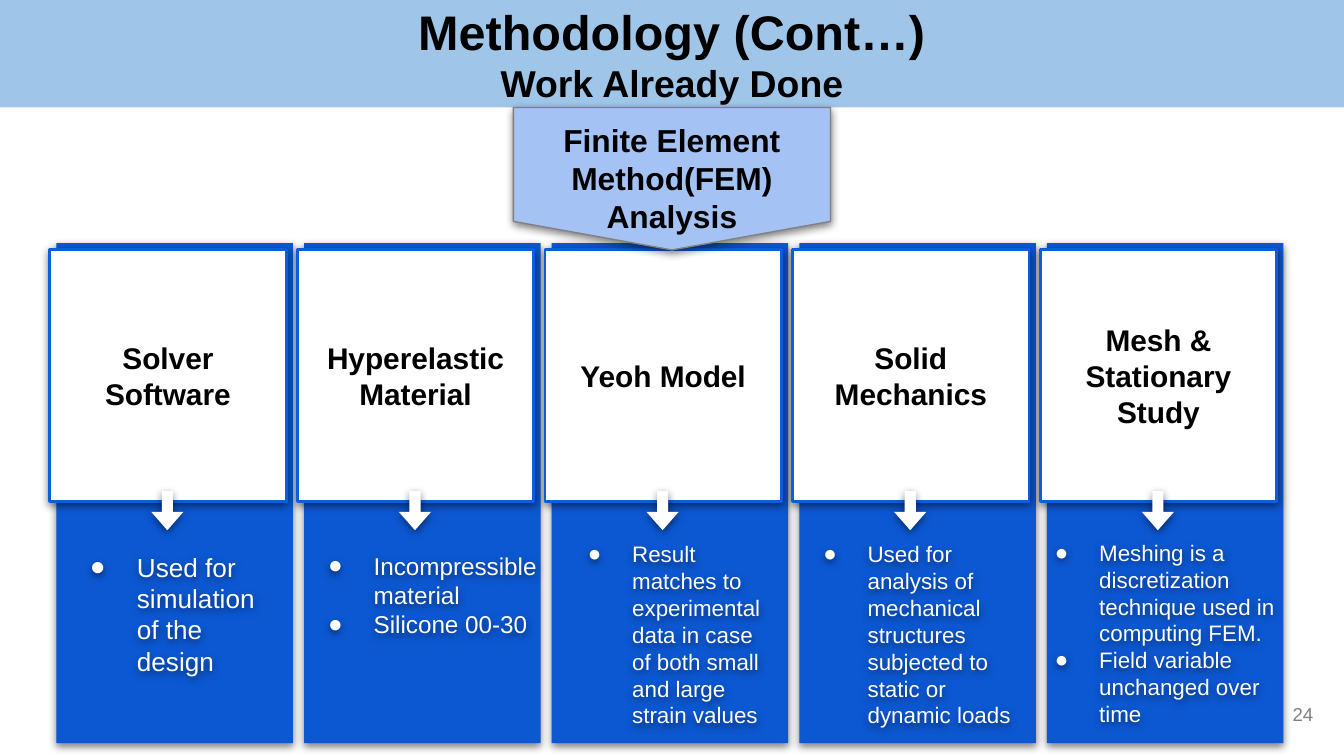
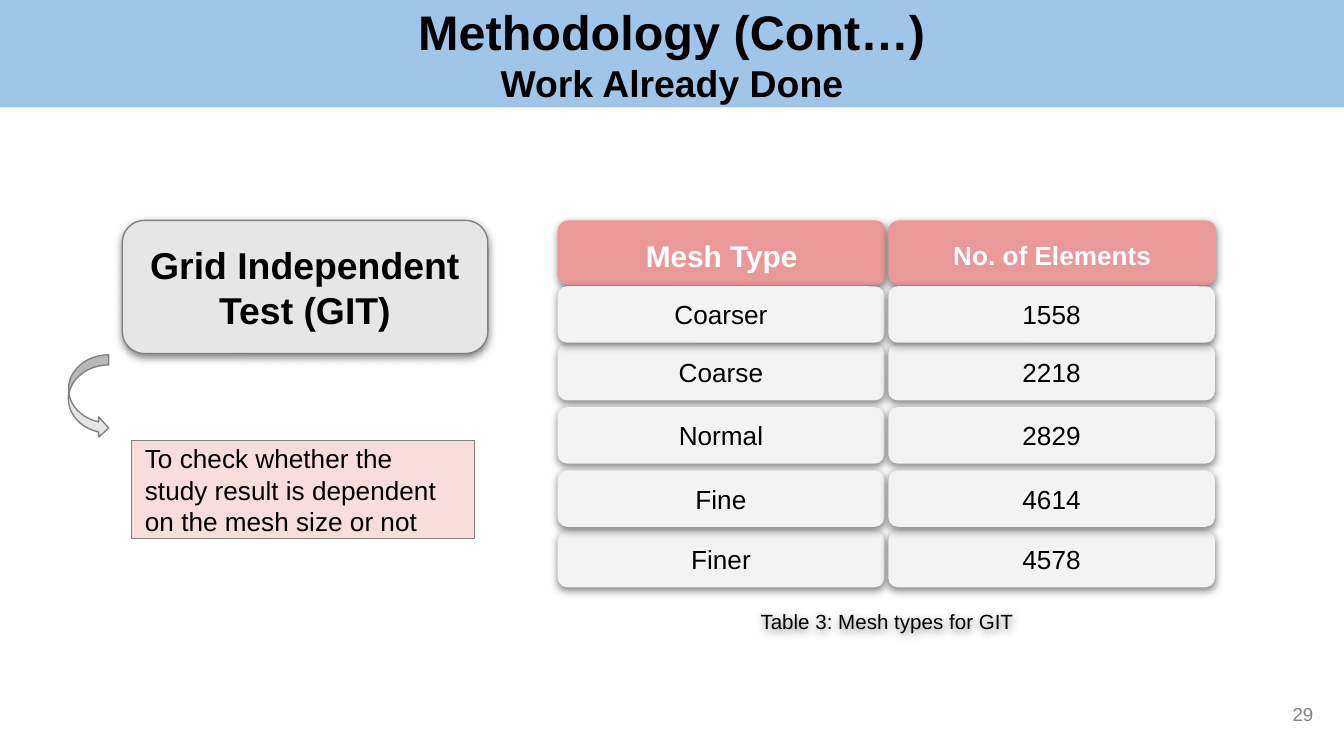
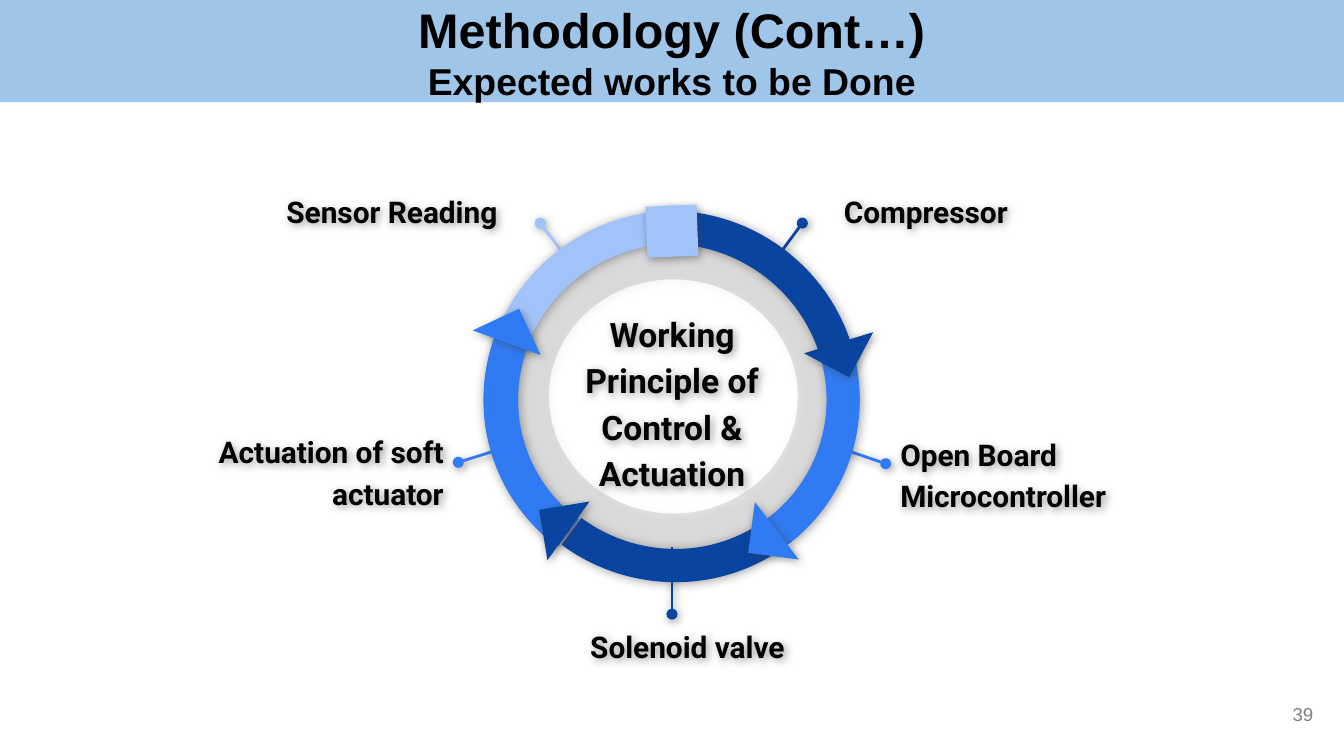
from lxml import etree
from pptx import Presentation
from pptx.dml.color import RGBColor
from pptx.enum.shapes import MSO_CONNECTOR, MSO_SHAPE
from pptx.enum.text import MSO_ANCHOR, MSO_AUTO_SIZE, PP_ALIGN
from pptx.oxml.ns import qn
from pptx.util import Inches, Pt

RECT, ROUND = MSO_SHAPE.RECTANGLE, MSO_SHAPE.ROUNDED_RECTANGLE
ARROW, CURVE = MSO_SHAPE.RIGHT_ARROW, MSO_SHAPE.CURVED_RIGHT_ARROW
FLAG, DONUT = MSO_SHAPE.FLOWCHART_OFFPAGE_CONNECTOR, MSO_SHAPE.DONUT
ARC, WEDGE = MSO_SHAPE.BLOCK_ARC, MSO_SHAPE.RIGHT_TRIANGLE
LEFT, MID, RIGHT = PP_ALIGN.LEFT, PP_ALIGN.CENTER, PP_ALIGN.RIGHT
TOP, CENTRE = MSO_ANCHOR.TOP, MSO_ANCHOR.MIDDLE
STRAIGHT, NO_FIT = MSO_CONNECTOR.STRAIGHT, MSO_AUTO_SIZE.NONE

COLORS = {
    "band": "9FC5E8", "black": "000000", "white": "FFFFFF", "grey": "818181",
    "panel": "0C58D3", "edge": "0D5DDF", "flag": "A4C2F4", "box": "E6E6E6",
    "head": "EA9999", "cell": "F3F3F3", "shade": "414141", "ink": "020202",
    "dark": "0944A1", "blue": "307BF3", "pale": "A1C3FA",
}
DROP = ("black", 4.5, 1.5, 90)
SLANT = ("shade", 4.5, 1.5, 46)
SOFT = ("shade", 5.6, 0.8, 46)


def rgb(name):
    """Return the named colour."""
    return RGBColor.from_string(COLORS[name])


def node(parent, tag, **attrs):
    """Add a drawing element with its attributes."""
    child = etree.SubElement(parent, qn(tag))
    for key, value in attrs.items():
        child.set(key, str(value))
    return child


def cast(shape, shade):
    """Give a shape or connector a shadow, or none."""
    props = shape.element.spPr
    effects = props.find(qn("a:effectLst"))
    if effects is None:
        effects = node(props, "a:effectLst")
    if shade:
        color, blur, dist, angle = shade
        outer = node(effects, "a:outerShdw", blurRad=Pt(blur), dist=Pt(dist),
                     dir=angle * 60000, algn="bl", rotWithShape=0)
        paint = node(outer, "a:srgbClr", val=COLORS[color])
        node(paint, "a:alpha", val=50000)


def draw(slide, kind, box, fill, edge=None, width=0.75, shade=None, turn=0,
         adjust=(), alpha=None):
    """Draw a filled preset shape."""
    shape = slide.shapes.add_shape(kind, *map(Inches, box))
    shape.fill.solid()
    shape.fill.fore_color.rgb = rgb(fill)
    if alpha:
        paint = shape.element.spPr.find(f"{qn('a:solidFill')}/{qn('a:srgbClr')}")
        node(paint, "a:alpha", val=alpha * 1000)
    if edge:
        shape.line.color.rgb = rgb(edge)
        shape.line.width = Pt(width)
    else:
        shape.line.fill.background()
    shape.shadow.inherit = False
    cast(shape, shade)
    shape.rotation = turn
    for spot, value in enumerate(adjust):
        shape.adjustments[spot] = value
    return shape


def write(shape, text, size, color="black", bold=False, align=MID,
          anchor=CENTRE, font="Arial", space=None, indent=None):
    """Set and format the text of a shape."""
    frame = shape.text_frame
    frame.text = text
    frame.word_wrap = True
    frame.auto_size = NO_FIT
    frame.vertical_anchor = anchor
    frame.margin_left = frame.margin_right = Inches(0.1)
    frame.margin_top = frame.margin_bottom = Inches(0.1)
    for para in frame.paragraphs:
        para.alignment = align
        if space:
            para.line_spacing = space
        if indent:
            props = para._p.get_or_add_pPr()
            props.set("marL", str(Inches(0.5)))
            props.set("indent", str(Inches(-indent)))
            node(node(props, "a:buClr"), "a:srgbClr", val=COLORS[color])
            node(props, "a:buFont", typeface="Arial")
            node(props, "a:buChar", char="●")
        for run in para.runs:
            run.font.name = font
            run.font.size = Pt(size)
            run.font.bold = bold
            run.font.color.rgb = rgb(color)
    return shape


def label(slide, box, text, size, shade=None, **style):
    """Place a text box."""
    shape = slide.shapes.add_textbox(*map(Inches, box))
    if shade:
        cast(shape, shade)
    return write(shape, text, size, **style)


def around(x, y, wide, high):
    """Return a box centred on a point."""
    return x - wide / 2, y - high / 2, wide, high


def start(deck, theme, number, high=0.8):
    """Add a slide with its title band and number."""
    slide = deck.slides.add_slide(deck.slide_layouts[5])
    title = slide.shapes.title
    title.left, title.top = 0, 0
    title.width, title.height = Inches(10), Inches(high)
    title.fill.solid()
    title.fill.fore_color.rgb = rgb("band")
    write(title, f"Methodology (Cont…)\n{theme}", 26, bold=True)
    title.text_frame.paragraphs[1].runs[0].font.size = Pt(20)
    label(slide, (9.27, 5.1, 0.6, 0.43), number, 10, color="grey", align=RIGHT)
    return slide


def panel(slide, box, head, body, size, indent, shift):
    """Draw one column with a heading card, an arrow and bullets."""
    x, y, wide, high = box
    draw(slide, RECT, box, "panel", shade=DROP)
    card = draw(slide, RECT, (x - 0.05, y + 0.05, wide, 1.87), "white", "edge",
                1.5, shade=DROP)
    write(card, head, 16, bold=True)
    draw(slide, ARROW, (x + 0.68, y + 1.87, 0.29, 0.24), "white", shade=DROP,
         turn=90, adjust=(0.342, 0.57))
    dx, dy, span, tall = shift
    label(slide, (x + dx, y + dy, span, tall), body, size, shade=DROP,
          color="white", align=LEFT, anchor=TOP, indent=indent)


def method(deck):
    """Build the slide of the analysis steps."""
    slide = start(deck, "Work Already Done", "24")
    steps = [
        ("Solver Software", "Used for simulation of the design",
         14, 0.35, (0, 2.19, 1.69, 1.44)),
        ("Hyperelastic Material", "Incompressible material\nSilicone 00-30",
         13, 0.34, (-0.08, 2.19, 1.94, 1.44)),
        ("Yeoh Model", "Result matches to experimental data in case of both "
         "small and large strain values", 12, 0.33, (0, 2.11, 1.69, 1.44)),
        ("Solid Mechanics", "Used for analysis of mechanical structures "
         "subjected to static or dynamic loads",
         12, 0.33, (-0.09, 2.11, 1.84, 1.61)),
        ("Mesh & Stationary Study", "Meshing is a discretization technique "
         "used in computing FEM.\nField variable unchanged over time",
         12, 0.33, (-0.21, 2.1, 2.05, 1.61)),
    ]
    first, last = 0.42, 7.79
    gap = (last - first) / (len(steps) - 1)
    for spot, step in enumerate(steps):
        panel(slide, (first + gap * spot, 1.81, 1.76, 3.72), *step)
    flag = draw(slide, FLAG, (3.82, 0.8, 2.36, 1.06), "flag", "grey", shade=DROP)
    write(flag, "Finite Element Method(FEM)\nAnalysis", 17, bold=True, anchor=TOP)


def aim(slide, x, y):
    """Draw the test name, its arrow and its purpose."""
    name = draw(slide, ROUND, (x + 0.4, y, 2.72, 0.99), "box", "grey", shade=DROP)
    write(name, "Grid Independent Test (GIT)", 20, bold=True)
    draw(slide, CURVE, (x, y + 1, 0.3, 0.62), "box", "grey")
    note = draw(slide, RECT, (x + 0.47, y + 1.64, 2.55, 0.73), "head", "grey",
                alpha=33)
    write(note, "To check whether the study result is dependent on the mesh "
          "size or not", 14, align=LEFT)


def grid(slide, x, y):
    """Draw the rounded cells of the mesh list and its caption."""
    step = 2.46
    for col, (text, size) in enumerate([("Mesh Type", 16), ("No. of Elements", 14)]):
        cell = draw(slide, ROUND, (x + step * col, y, 2.44, 0.48), "head", shade=DROP)
        write(cell, text, size, "white", True, space=1.15)
    rows = [(0.92, "Coarse", "2218"), (1.39, "Normal", "2829"),
            (0.49, "Coarser", "1558"), (2.31, "Finer", "4578"),
            (1.86, "Fine", "4614")]
    for drop, *texts in rows:
        for col, text in enumerate(texts):
            cell = draw(slide, ROUND, (x + step * col, y + drop, 2.43, 0.42),
                        "cell", shade=DROP)
            write(cell, text, 14)
    label(slide, (x + 1.09, y + 2.79, 2.72, 0.39), "Table 3: Mesh types for GIT",
          11, shade=DROP, anchor=TOP)


def test(deck):
    """Build the slide of the grid test."""
    slide = start(deck, "Work Already Done", "29")
    aim(slide, 0.51, 1.64)
    grid(slide, 4.15, 1.64)


def spoke(slide, x, y, color, tip, base, box, text, align):
    """Draw one pointer with a round tip and its label."""
    ends = (x + tip[0], y + tip[1], x + base[0], y + base[1])
    line = slide.shapes.add_connector(STRAIGHT, *map(Inches, ends))
    line.line.color.rgb = rgb(color)
    line.line.width = Pt(1.5)
    node(line.element.spPr.find(qn("a:ln")), "a:headEnd", type="oval")
    cast(line, SLANT)
    left, top, wide, high = box
    label(slide, (x + left, y + top, wide, high), text, 16, shade=SLANT, bold=True,
          align=align, anchor=TOP, font="Roboto", space=1.15)


def ring(slide, x, y):
    """Draw the cycle around a centre point."""
    draw(slide, DONUT, around(x + 0.01, y, 2.68, 2.57), "black", shade=SLANT,
         adjust=(0.161,), alpha=11)
    spokes = [
        ("dark", (0.97, -1.29), (0.69, -0.91), (1.18, -1.65, 2.79, 0.96),
         "Compressor", LEFT),
        ("pale", (-0.98, -1.29), (-0.69, -0.91), (-4.05, -1.65, 2.85, 0.96),
         "Sensor Reading", RIGHT),
        ("blue", (1.59, 0.5), (1.12, 0.34), (1.6, 0.16, 2.38, 1.05),
         "Open Board Microcontroller", LEFT),
        ("blue", (-1.59, 0.49), (-1.11, 0.34), (-4.05, 0.14, 2.45, 1.05),
         "Actuation of soft actuator", RIGHT),
        ("dark", (0, 1.62), (0, 1.12), (-1.11, 1.59, 2.45, 0.96),
         "Solenoid valve", MID),
    ]
    for item in spokes:
        spoke(slide, x, y, *item)
    arcs = [
        ("dark", 29, False, (144.14, 189.99, 0.09), None),
        ("blue", 209, True, (201.79, 26.24, 0.09), None),
        ("pale", 331, True, (143.34, 188.55, 0.09), None),
        ("blue", 151, False, (201.85, 30.07, 0.09), "blue"),
        ("dark", 209, True, (157.39, 200.08, 0.09), None),
    ]
    for color, turn, flip, sweep, edge in arcs:
        arc = draw(slide, ARC, around(x, y, 2.81, 2.75), color, edge, shade=SOFT,
                   turn=turn, adjust=sweep)
        if flip:
            arc.element.spPr.xfrm.set("flipH", "1")
    label(slide, around(x, y + 0.03, 1.52, 0.81),
          "Working Principle of Control & Actuation", 18, shade=SLANT,
          color="ink", bold=True, font="Roboto", space=1.15)
    tips = [
        (WEDGE, 1.24, -0.4, 298, "dark"), (WEDGE, -1.23, -0.4, 154.9, "blue"),
        (WEDGE, 0.78, 1, 7.6, "blue"), (WEDGE, -0.77, 1, 80.6, "dark"),
        (RECT, 0, -1.23, 267.6, "pale"),
    ]
    for kind, dx, dy, turn, color in tips:
        draw(slide, kind, around(x + dx, y + dy, 0.38, 0.38), color, shade=SLANT,
             turn=turn)


def cycle(deck):
    """Build the slide of the working cycle."""
    slide = start(deck, "Expected works to be Done", "39", 0.76)
    ring(slide, 5, 2.95)


def main():
    """Build and save the deck."""
    deck = Presentation()
    deck.slide_width = Inches(10)
    deck.slide_height = deck.slide_width * 9 // 16
    method(deck)
    test(deck)
    cycle(deck)
    deck.save("out.pptx")


if __name__ == "__main__":
    main()
